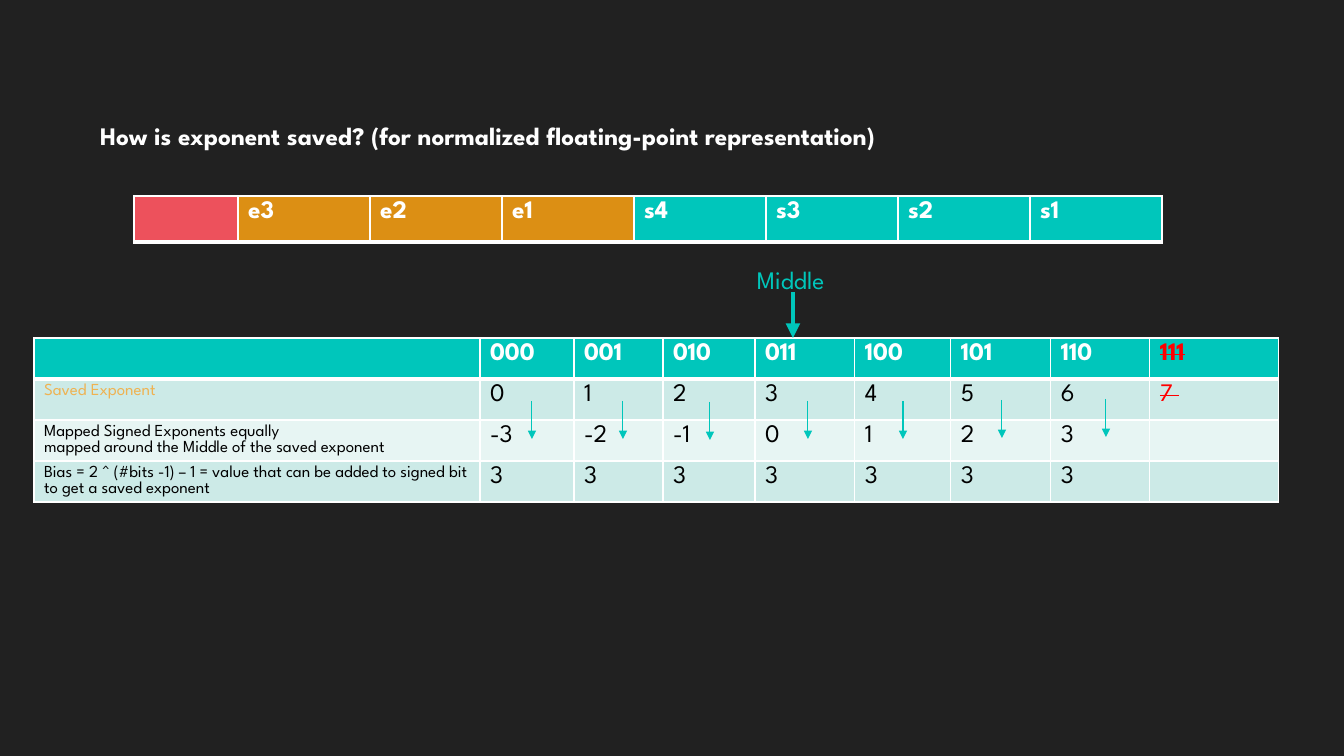
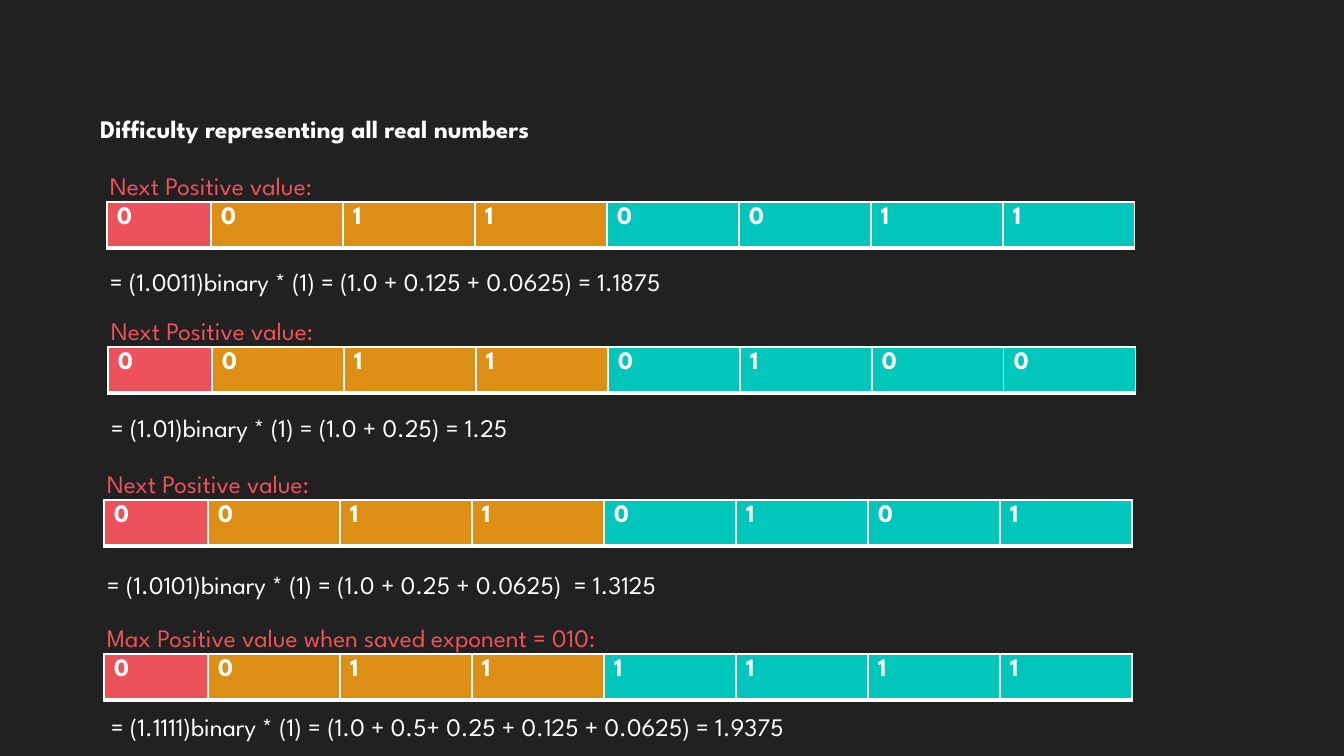
import pptx
import pptx.dml.color
import pptx.enum.shapes
import pptx.enum.text
import pptx.oxml
import pptx.oxml.ns
import pptx.util

PIXEL = 914400 / 100.8
FONT = "League Spartan"
COLORS = {
    "background": "212121", "title": "FEFEFE", "white": "FFFFFF",
    "black": "000000", "sign": "ED515C", "exponent": "DC8F14",
    "significand": "00C6BB", "saved": "EFB251", "unused": "FF0000",
    "band": "CCEAE7", "light band": "E7F5F3",
}
NAMESPACE = pptx.oxml.ns.nsdecls("a")

BIT_FIELDS = ["sign"] + ["exponent"] * 3 + ["significand"] * 4
BIT_WIDTHS = [104] + [132] * 7

EXPONENT_WIDTHS = [446, 94, 89, 92, 100, 96, 100, 99, 129]
EXPONENT_ROWS = [
    ["", "000", "001", "010", "011", "100", "101", "110", "111"],
    ["Saved Exponent", "0", "1", "2", "3", "4", "5", "6", "7 "],
    ["Mapped Signed Exponents equally \n"
     "mapped around the Middle of the saved exponent",
     "-3", "-2", "-1", "0", "1", "2", "3", ""],
    ["Bias = 2 ^ (#bits -1) \u2013 1 = value that can be added to signed bit "
     "to get a saved exponent"] + ["3"] * 7 + [""],
]
ROW_FILLS = ["significand", "band", "light band", "band"]
MAPPING_ARROWS = [(532, 401), (623, 401), (710, 402), (808, 401),
                  (903, 401), (1002, 400), (1106, 399)]

# Label, bits, formula, strip left and top, formula left and top
NEXT = "Next Positive value:"
VALUES = [
    (NEXT, "00110011",
     "= (1.0011)binary * (1) = (1.0 + 0.125 + 0.0625) = 1.1875",
     (107, 202), (100, 254)),
    (NEXT, "00110100", "= (1.01)binary * (1) = (1.0 + 0.25) = 1.25",
     (108, 347), (101, 400)),
    (NEXT, "00110101",
     "= (1.0101)binary * (1) = (1.0 + 0.25 + 0.0625)  = 1.3125",
     (104, 500), (97, 557)),
    ("Max Positive value when saved exponent = 010:", "00111111",
     "= (1.1111)binary * (1) = (1.0 + 0.5+ 0.25 + 0.125 + 0.0625) = 1.9375",
     (104, 654), (101, 699)),
]


def px(*lengths):
    return [pptx.util.Emu(round(length * PIXEL)) for length in lengths]


def rgb(color):
    return pptx.dml.color.RGBColor.from_string(COLORS[color])


def apply(target, formats):
    for name, value in formats.items():
        setattr(target, name, value)


def write(frame, text, color, size=18, bold=False):
    """Fill a text frame, one paragraph a line, and return its runs."""
    frame.text = text
    runs = [run for paragraph in frame.paragraphs for run in paragraph.runs]
    for run in runs:
        run.font.color.rgb = rgb(color)
        apply(run.font, {"name": FONT, "size": pptx.util.Pt(size),
                         "bold": bold})
    return runs


def add_title(slide, text, bottom_inset):
    title = slide.shapes.title
    left, top, width, height, inset = px(90, 49, 1165, 107, bottom_inset)
    apply(title, {"left": left, "top": top, "width": width, "height": height})
    frame = title.text_frame
    apply(frame, {"auto_size": pptx.enum.text.MSO_AUTO_SIZE.NONE,
                  "word_wrap": True, "margin_bottom": inset,
                  "vertical_anchor": pptx.enum.text.MSO_ANCHOR.BOTTOM})
    for run in write(frame, text, "title", bold=True):
        # Soft shadow behind the letters
        shadow = pptx.oxml.parse_xml(
            f'<a:effectLst {NAMESPACE}><a:outerShdw blurRad="50800" '
            'dist="38100" dir="2700000"><a:srgbClr val="000000">'
            '<a:alpha val="60000"/></a:srgbClr></a:outerShdw></a:effectLst>')
        fill = run._r.rPr.find(pptx.oxml.ns.qn("a:solidFill"))
        fill.addnext(shadow)
    frame.paragraphs[0].alignment = pptx.enum.text.PP_ALIGN.LEFT


def add_text(shapes, text, left, top, width, color):
    box = shapes.add_textbox(*px(left, top, width, 40))
    apply(box.text_frame, {"word_wrap": True, "margin_top": px(12)[0]})
    write(box.text_frame, text, color)


def add_arrow(shapes, x, top, length, weight):
    arrow = shapes.add_connector(pptx.enum.shapes.MSO_CONNECTOR.STRAIGHT,
                                 *px(x, top, x, top + length))
    arrow.line.color.rgb = rgb("significand")
    arrow.line.width = pptx.util.Pt(weight)
    arrow.line._get_or_add_ln().append(pptx.oxml.parse_xml(
        f'<a:tailEnd {NAMESPACE} type="triangle"/>'))
    arrow._element.spPr.append(
        pptx.oxml.parse_xml(f"<a:effectLst {NAMESPACE}/>"))


def add_grid(slide, left, top, widths, row_heights):
    frame = slide.shapes.add_table(
        len(row_heights), len(widths),
        *px(left, top, sum(widths), sum(row_heights)))
    apply(frame.table, {"first_row": False, "horz_banding": False})
    for column, width in zip(frame.table.columns, px(*widths)):
        column.width = width
    for row, height in zip(frame.table.rows, px(*row_heights)):
        row.height = height
    return frame.table


def paint_cell(cell, fill, header):
    """Fill a cell and rule it in white; a header is closed by a thick rule."""
    cell.fill.solid()
    cell.fill.fore_color.rgb = rgb(fill)
    weights = {"L": 1, "R": 1}
    if header:
        weights["T"] = 1
    weights["B"] = 3 if header else 1
    for position, (side, weight) in enumerate(weights.items()):
        cell._tc.get_or_add_tcPr().insert(position, pptx.oxml.parse_xml(
            f'<a:ln{side} {NAMESPACE} w="{pptx.util.Pt(weight)}"><a:solidFill>'
            f'<a:srgbClr val="{COLORS["white"]}"/></a:solidFill>'
            f'</a:ln{side}>'))


def add_bit_strip(slide, left, top, bits):
    strip = add_grid(slide, left, top, BIT_WIDTHS, [46])
    for cell, bit, field in zip(strip.rows[0].cells, bits, BIT_FIELDS):
        paint_cell(cell, field, header=True)
        write(cell.text_frame, bit, "white", bold=True)


def add_exponent_table(slide):
    table = add_grid(slide, 34, 338, EXPONENT_WIDTHS, [41] * 4)
    last = len(EXPONENT_WIDTHS) - 1
    for r, (texts, fill) in enumerate(zip(EXPONENT_ROWS, ROW_FILLS)):
        header = r == 0
        for c, text in enumerate(texts):
            cell = table.cell(r, c)
            paint_cell(cell, fill, header)
            color = "white" if header else "black"
            if c == last:
                color = "unused"
            elif (r, c) == (1, 0):
                color = "saved"
            runs = write(cell.text_frame, text, color,
                         size=18 if c else 12, bold=header)
            # The all-ones exponent is struck out
            if c == last:
                for run in runs:
                    run._r.get_or_add_rPr().set("strike", "sngStrike")


def build_exponent_slide(slide):
    add_title(slide, "How is exponent saved? "
              "(for normalized floating-point representation)", 5)
    add_exponent_table(slide)
    # Pointer to the middle exponent, and arrows from saved to signed
    pointers = slide.shapes.add_group_shape().shapes
    add_arrow(pointers, 793, 292, 46, 3.5)
    add_text(pointers, "Middle", 747, 252, 108, "significand")
    for x, top in MAPPING_ARROWS:
        add_arrow(pointers, x, top, 38, 0.75)
    add_bit_strip(slide, 134, 196,
                  ["", "e3", "e2", "e1", "s4", "s3", "s2", "s1"])


def build_values_slide(slide):
    add_title(slide, "Difficulty representing all real numbers", 12)
    for label, bits, formula, (left, top), formula_corner in VALUES:
        add_text(slide.shapes, label, left - 7, top - 44, 1007, "sign")
        add_bit_strip(slide, left, top, bits)
        add_text(slide.shapes, formula, *formula_corner, 930, "white")


def main():
    deck = pptx.Presentation()
    deck.slide_width, deck.slide_height = px(1344, 756)
    backdrop = deck.slide_master.background.fill
    backdrop.solid()
    backdrop.fore_color.rgb = rgb("background")
    title_only = deck.slide_layouts.get_by_name("Title Only")
    for build in (build_exponent_slide, build_values_slide):
        build(deck.slides.add_slide(title_only))
    deck.save("out.pptx")


main()
